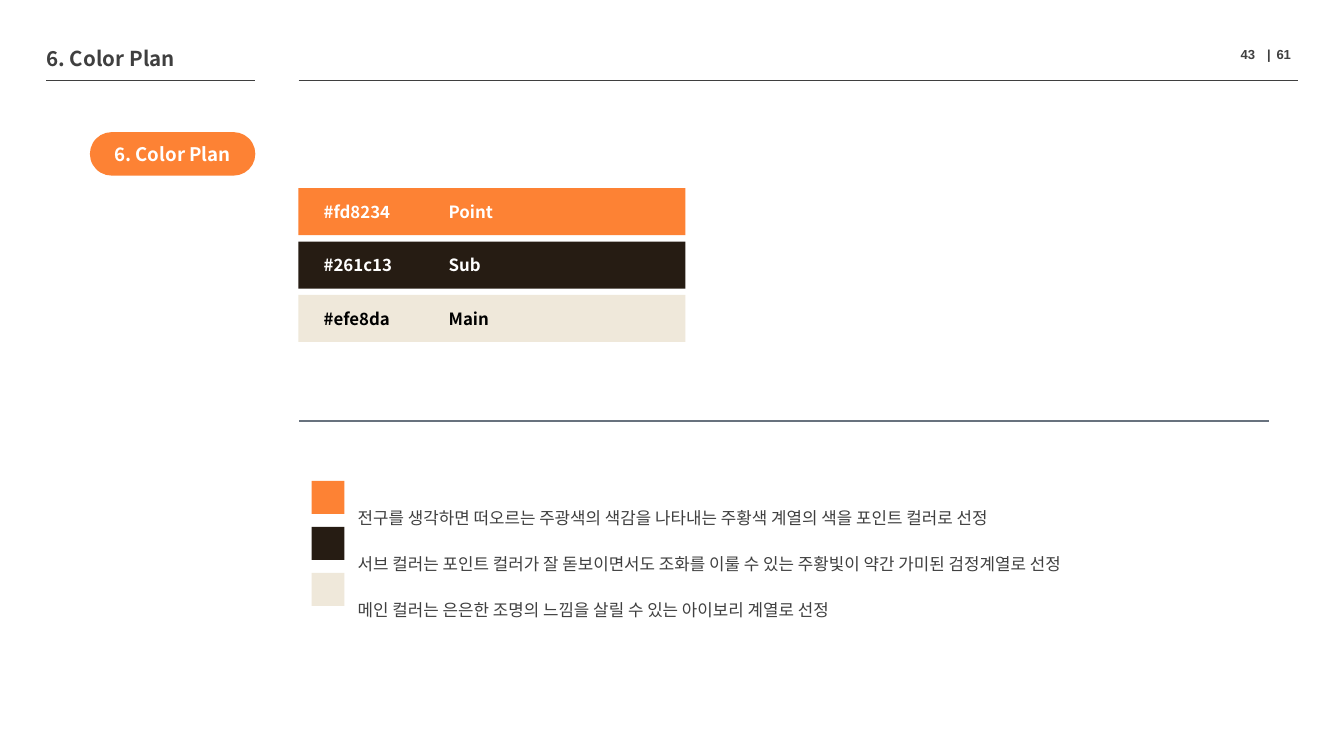
from typing import NamedTuple

from lxml.etree import SubElement
from pptx import Presentation
from pptx.dml.color import RGBColor
from pptx.enum.shapes import MSO_CONNECTOR as Connector, MSO_SHAPE as Preset
from pptx.enum.text import MSO_ANCHOR as Anchor, MSO_AUTO_SIZE as AutoSize, PP_ALIGN as Align
from pptx.oxml.ns import qn
from pptx.util import Pt

SANS = "Noto Sans CJK KR"
ORANGE, BLACK, IVORY = "FD8234", "261C13", "EFE8DA"
WHITE, GRAY, SLATE = "FFFFFF", "3F3F3F", "68727E"


class Box(NamedTuple):
    left: float
    top: float
    width: float
    height: float


class Rule(NamedTuple):
    left: float
    right: float
    y: float
    color: str


class PlanColor(NamedTuple):
    fill: str
    role: str
    label_color: str
    reason: str


RULES = [
    Rule(24.7, 136.8, 43.1, GRAY),
    Rule(160, 695.4, 43.1, GRAY),
    Rule(160.3, 679.8, 225.5, SLATE),
]
PLAN = [
    PlanColor(ORANGE, "Point", WHITE,
              "전구를 생각하면 떠오르는 주광색의 색감을 나타내는 주황색 계열의 색을 포인트 컬러로 선정"),
    PlanColor(BLACK, "Sub", WHITE,
              "서브 컬러는 포인트 컬러가 잘 돋보이면서도 조화를 이룰 수 있는 주황빛이 약간 가미된 검정계열로 선정"),
    PlanColor(IVORY, "Main", "000000",
              "메인 컬러는 은은한 조명의 느낌을 살릴 수 있는 아이보리 계열로 선정"),
]
BAND_TOP, BAND_PITCH = 100.8, 28.6
REASON_TOP, REASON_PITCH = 257.7, 24.65


def rgb(color: str) -> RGBColor:
    return RGBColor.from_string(color)


def place(shape, box: Box) -> None:
    shape.left, shape.top, shape.width, shape.height = map(Pt, box)


def write_text(shape, text: str, *, size: float, color: str = GRAY, font: str = SANS,
               bold: bool = False, align=Align.LEFT, anchor=Anchor.TOP,
               line_spacing: float = 1.0, tabs: tuple = ()) -> None:
    frame = shape.text_frame
    frame.word_wrap = True
    frame.auto_size = AutoSize.NONE
    frame.vertical_anchor = anchor
    paragraph = frame.paragraphs[0]
    paragraph.alignment = align
    if tabs:
        tab_list = SubElement(paragraph._p.get_or_add_pPr(), qn("a:tabLst"))
        for position in tabs:
            SubElement(tab_list, qn("a:tab"), pos=str(Pt(position)), algn="l")
    paragraph.line_spacing = line_spacing
    run = paragraph.add_run()
    run.text = text
    run.font.size = Pt(size)
    run.font.bold = bold
    run.font.name = font
    run.font.color.rgb = rgb(color)
    SubElement(run._r.get_or_add_rPr(), qn("a:ea"), typeface=font)


def add_text(slide, box: Box, text: str, **text_format) -> None:
    write_text(slide.shapes.add_textbox(*map(Pt, box)), text, **text_format)


def add_block(slide, box: Box, color: str, preset=Preset.RECTANGLE):
    shape = slide.shapes.add_shape(preset, *map(Pt, box))
    shape.shadow.inherit = False
    shape.fill.solid()
    shape.fill.fore_color.rgb = rgb(color)
    shape.line.fill.background()
    return shape


def add_rule(slide, rule: Rule) -> None:
    line = slide.shapes.add_connector(
        Connector.STRAIGHT, Pt(rule.left), Pt(rule.y), Pt(rule.right), Pt(rule.y))
    line.line.color.rgb = rgb(rule.color)
    line.line.width = Pt(0.75)
    SubElement(line._element.spPr, qn("a:effectLst"))


def add_band(slide, top: float, color: PlanColor) -> None:
    """Draw a wide color band with its hex code and role."""
    add_block(slide, Box(159.8, top, 207.4, 25.2), color.fill)
    for left, label in ((166.3, f"#{color.fill.lower()}"), (233.3, color.role)):
        add_text(slide, Box(left, top + 3.6, 70, 18), label,
                 size=9, bold=True, color=color.label_color)


def add_reason(slide, top: float, color: PlanColor) -> None:
    """Draw a small swatch and the reason for choosing its color."""
    add_block(slide, Box(166.9, top, 17.7, 17.7), color.fill)
    add_text(slide, Box(184.5, top, 450, 18), color.reason, size=9, line_spacing=2.0)


def main() -> None:
    presentation = Presentation()
    presentation.slide_width, presentation.slide_height = Pt(720), Pt(405)
    slide = presentation.slides.add_slide(presentation.slide_layouts.get_by_name("Title Only"))

    title = slide.shapes.title
    place(title, Box(17.7, 20.9, 112.3, 18))
    write_text(title, "6. Color Plan", size=11, bold=True)
    add_text(slide, Box(657.6, 23, 42.4, 14.4), "43\t|\t61", size=7, bold=True,
             font="Arial", line_spacing=0.8, tabs=(14.2, 19.2))
    for rule in RULES:
        add_rule(slide, rule)

    section = add_block(slide, Box(48.2, 70.8, 88.6, 23.3), ORANGE, Preset.ROUNDED_RECTANGLE)
    section.adjustments[0] = 0.5
    write_text(section, "6. Color Plan", size=10, bold=True, color=WHITE,
               align=Align.CENTER, anchor=Anchor.MIDDLE)

    for index, color in enumerate(PLAN):
        add_band(slide, BAND_TOP + index * BAND_PITCH, color)
        add_reason(slide, REASON_TOP + index * REASON_PITCH, color)

    presentation.save("out.pptx")


if __name__ == "__main__":
    main()
